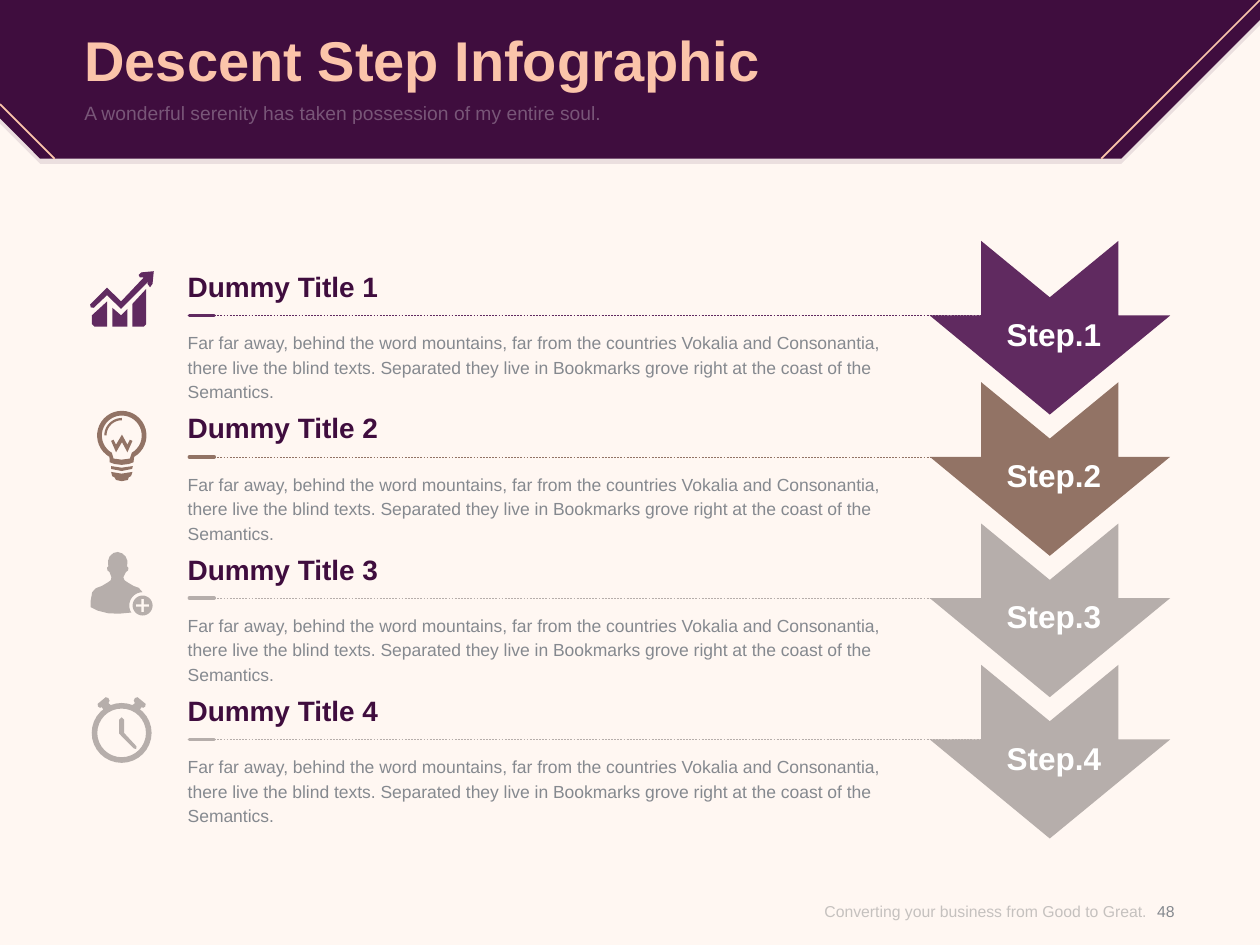
"""Builds the descent step infographic slide."""
from math import cos, radians, sin

from lxml import etree
from pptx import Presentation
from pptx.dml.color import RGBColor
from pptx.enum import dml, shapes, text
from pptx.oxml.ns import qn
from pptx.util import Pt

PLUM, PURPLE, PEACH, GREY, WHITE = "3F0D3E", "602A60", "FBC4AA", "85898F", "FFFFFF"
BROWN, STONE = "927365", "B6AEAB"
TITLE = "Descent Step Infographic"
LEAD = "A wonderful serenity has taken possession of my entire soul."
FOOT = "Converting your business from Good to Great."
BODY = ("Far far away, behind the word mountains, far from the countries Vokalia and "
        "Consonantia, there live the blind texts. Separated they live in Bookmarks grove "
        "right at the coast of the Semantics.")
BAND = [(0, 0), (720, 0), (720, 11.5), (640.8, 90.7), (23, 90.7), (0, 67.7)]
TRIMS = [(720, 0, 629.3, 90.7), (0, 59.5, 31.2, 90.7)]
ARROW = [(137.4, 42.6), (68.6, 99.2), (0, 42.6), (29.4, 42.6), (29.4, 0),
         (68.6, 32.2), (107.8, 0), (107.8, 42.6)]
TOP, PITCH = 180.3, 80.75


def arc(x, y, size, start=0, stop=360):
    """Returns points along a circle, with angles in degrees clockwise from the right."""
    turns = [radians(start + (stop - start) * i / 32) for i in range(33)]
    return [(x + size * cos(t), y + size * sin(t)) for t in turns]


EAR = [(3.3, 4), (7.9, 0.2), (9.4, 0.7), (10.1, 2.2), (9.4, 3.6), (10.8, 4.7),
       (6.5, 7.1), (5.5, 5.8), (4.7, 6.3), (3.5, 5.5)]
CHART = [
    [(1.4, 25.2), (10, 17.3), (10, 31.7), (2.9, 31.7), (1.4, 30.2)],
    [(13, 20.9), (18, 25.2), (21.6, 21.6), (21.6, 31.7), (13, 31.7)],
    [(24.5, 18.7), (32.4, 10.1), (32.4, 30.2), (31, 31.7), (24.5, 31.7)],
    [(29.5, 0.7), (36.7, 0), (36, 7.2), (34.6, 9.2), (33.1, 7.2), (33.8, 5.8),
     (18, 21.6), (10, 13.7), (2.4, 20.9), (0.7, 20.7), (0.3, 19), (10, 9.4),
     (18, 17.3), (31, 3.6), (28.8, 3.6), (28.1, 2.2)],
]
BULB = [
    arc(14.1, 14.2, 14.1, 120, 420) + [(20.8, 29.5), (18, 30.5), (14, 31), (10, 30.5), (7.2, 29.5)],
    arc(14.1, 14.2, 11.4, 120, 420) + [(18.7, 27.4), (14, 28), (9.4, 27.4)],
    [(8, 31.7), (14, 32.6), (20.4, 31.7), (20, 33.3), (14, 34.5), (8, 33.3)],
    [(8, 35), (14, 36), (20.2, 35), (19.4, 37.4), (18, 38.2), (17.6, 39.6),
     (14, 40.3), (10.8, 39.6), (10, 38.2), (8.6, 37.4)],
    arc(14.1, 14.2, 10, 180, 270) + arc(14.1, 14.2, 8.7, 270, 180),
    [(17.3, 19.4), (14.2, 13.7), (10.8, 19.4), (9.4, 16.6), (8, 17.3), (10.8, 23.8),
     (14.2, 18), (17.3, 23.8), (20.2, 17.3), (18.7, 16.6)],
]
USER = [
    [(27.5, 20.5), (24.5, 19.4), (21, 17.3), (19.4, 16.2), (18.7, 14.4), (20.2, 11.5),
     (21.4, 10.5), (21.6, 9), (20.9, 8.3), (21, 5), (20, 2.6), (18, 0.8), (15.5, 0),
     (13, 0.6), (10.8, 2.6), (10, 5), (10.1, 8.3), (9.4, 9), (9.6, 10.5), (10.8, 11.5),
     (11.9, 14.4), (11.5, 16.2), (10, 17.3), (6.5, 19.4), (3, 20.7), (0.9, 23), (0, 28),
     (0, 31.5), (4, 33.5), (10, 35), (16, 35.3)] + arc(29.7, 30.6, 7.6, 148, 270),
    arc(29.7, 30.6, 5.7),
    [(29, 26.8), (30.4, 26.8), (30.4, 29.9), (33.5, 29.9), (33.5, 31.3), (30.4, 31.3),
     (30.4, 34.4), (29, 34.4), (29, 31.3), (25.9, 31.3), (25.9, 29.9), (29, 29.9)],
]
CLOCK = [
    arc(17, 20.6, 17.1), arc(17, 20.6, 13.9), EAR, [(34 - x, y) for x, y in EAR],
    [(15.6, 13), (17, 11.7), (18.4, 13), (18.4, 20.6), (25.5, 28.3), (25.3, 29.8),
     (24, 29.5), (17, 22.5), (15.6, 21)],
]
STEPS = [
    ("Dummy Title 1", "Step.1", PURPLE, CHART, 51.2, 155),
    ("Dummy Title 2", "Step.2", BROWN, BULB, 55.5, 234.7),
    ("Dummy Title 3", "Step.3", STONE, USER, 51.8, 315.4),
    ("Dummy Title 4", "Step.4", STONE, CLOCK, 52.5, 398.2),
]


def paint(fill, tone, alpha=None):
    """Sets a solid colour, with opacity in percent."""
    fill.solid()
    fill.fore_color.rgb = RGBColor.from_string(tone)
    if alpha:
        node = fill._xPr.find(qn("a:solidFill"))[0]
        etree.SubElement(node, qn("a:alpha"), val=str(alpha * 1000))


def draw(slide, loops, tone, left=0, top=0, alpha=None):
    """Draws closed outlines as one filled shape."""
    spots = [[(Pt(left + x), Pt(top + y)) for x, y in loop] for loop in loops]
    pen = slide.shapes.build_freeform(*spots[0][0], scale=1.0)
    for i, loop in enumerate(spots):
        if i:
            pen.move_to(*loop[0])
        pen.add_line_segments(loop[1:], close=True)
    form = pen.convert_to_shape()
    form.shadow.inherit = False
    form.line.fill.background()
    paint(form.fill, tone, alpha)


def rule(slide, ends, tone, width, dash=None, cap="flat"):
    """Draws a straight line."""
    line = slide.shapes.add_connector(shapes.MSO_CONNECTOR.STRAIGHT, *map(Pt, ends))
    paint(line.line.fill, tone)
    line.line.width = Pt(width)
    line.line.dash_style = dash
    line.line._get_or_add_ln().set("cap", cap)
    etree.SubElement(line._element.spPr, qn("a:effectLst"))


def write(slide, words, box, size, tone, bold=False, align="LEFT", anchor="TOP",
          gap=None, alpha=None, holder=None):
    """Writes text in a new box or a placeholder."""
    area = holder or slide.shapes.add_textbox(0, 0, 0, 0)
    area.left, area.top, area.width, area.height = map(Pt, box)
    frame = area.text_frame
    frame.margin_left = frame.margin_right = frame.margin_top = frame.margin_bottom = 0
    frame.word_wrap = True
    frame.auto_size = text.MSO_AUTO_SIZE.NONE
    frame.vertical_anchor = text.MSO_ANCHOR[anchor]
    para = frame.paragraphs[0]
    para.alignment = text.PP_ALIGN[align]
    para.space_before = Pt(0)
    if gap:
        para.line_spacing = Pt(gap)
    run = para.add_run()
    run.text = words
    run.font.name, run.font.size, run.font.bold = "Arial", Pt(size), bold
    paint(run.font.fill, tone, alpha)
    if holder:
        form = para._p.get_or_add_pPr()
        form.set("marL", "0")
        form.set("indent", "0")
        etree.SubElement(form, qn("a:buNone"))
        slide.shapes._spTree.append(area._element)


def main():
    """Lays out the slide and saves it."""
    deck = Presentation()
    deck.slide_width, deck.slide_height = Pt(720), Pt(540)
    slide = deck.slides.add_slide(deck.slide_layouts[1])
    paint(slide.background.fill, "FFF7F2")

    draw(slide, [BAND], PLUM, top=2.9, alpha=10)
    draw(slide, [BAND], PLUM)
    for ends in TRIMS:
        rule(slide, ends, PEACH, 1)
    write(slide, TITLE, (48.2, 10.1, 623.5, 46.8), 32, PEACH, bold=True,
          anchor="MIDDLE", holder=slide.shapes.title)
    write(slide, LEAD, (48.2, 57.6, 623.5, 28), 11, WHITE, alpha=30,
          holder=slide.placeholders[1])

    for i, (head, step, tone, icon, left, top) in enumerate(STEPS):
        y = TOP + PITCH * i
        write(slide, BODY, (107.3, y + 7.6, 403.2, 41), 10, GREY, gap=14)
        write(slide, head, (107.3, y - 26.3, 403.2, 19.4), 16, PLUM, bold=True)
        rule(slide, (122.4, y, 108.2, y), tone, 2, cap="rnd")
        rule(slide, (122.4, y, 560.9, y), tone, 0.25, dash=dml.MSO_LINE.DASH)
        draw(slide, icon, tone, left, top)
        draw(slide, [ARROW], tone, 531.3, y - 42.6)
        write(slide, step, (532.8, y - 0.5, 139, 21.6), 18, WHITE, bold=True, align="CENTER")

    write(slide, FOOT, (434.9, 501.1, 220.3, 38.9), 9, "8C8C8C", align="RIGHT",
          anchor="MIDDLE", alpha=50)
    write(slide, "48", (649.4, 501.1, 33.8, 38.9), 9, GREY, align="CENTER", anchor="MIDDLE")
    deck.save("out.pptx")


if __name__ == "__main__":
    main()
